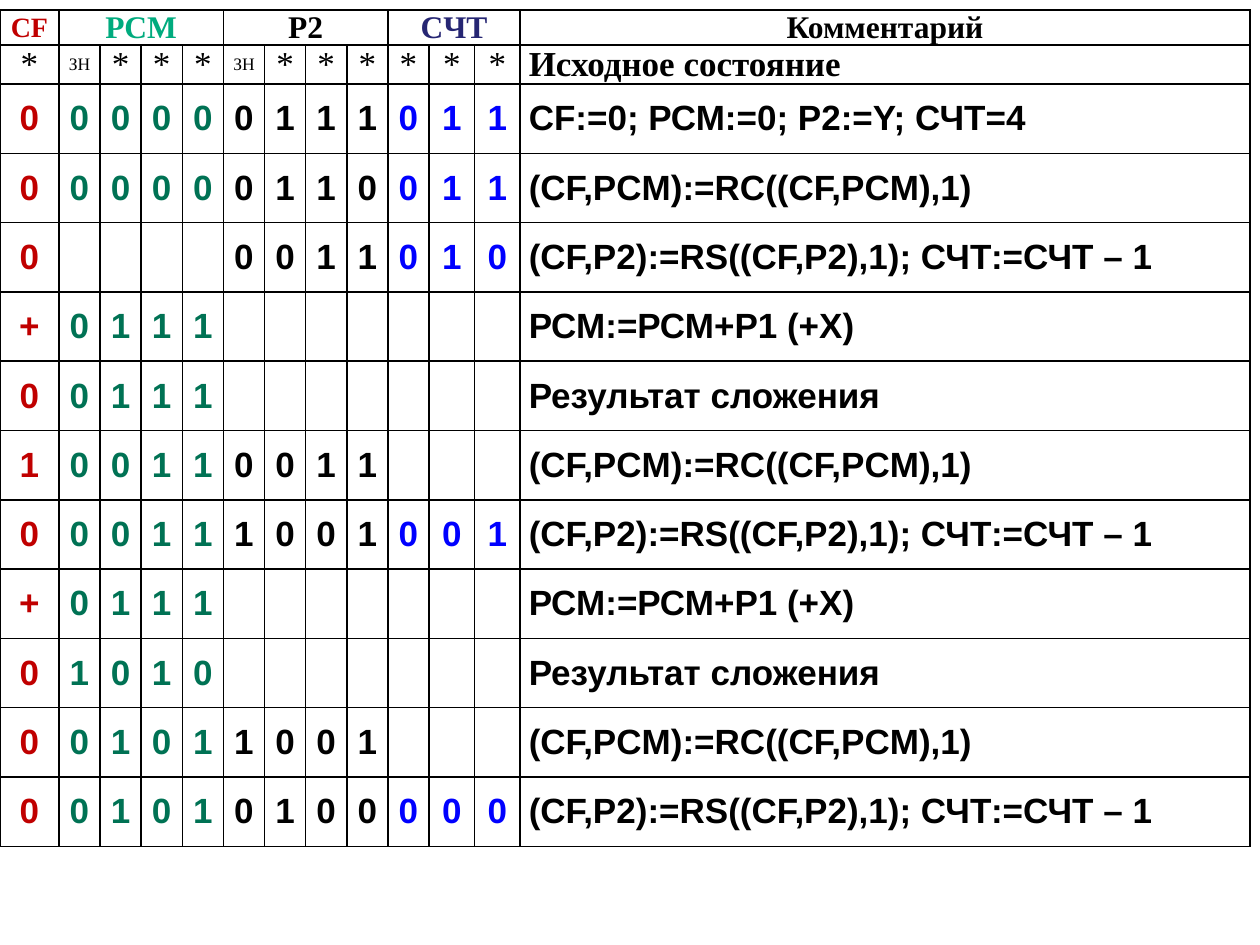
from lxml import etree
from pptx import Presentation
from pptx.dml.color import RGBColor
from pptx.enum.text import MSO_ANCHOR, PP_ALIGN
from pptx.oxml.ns import qn
from pptx.util import Pt

CENTER, LEFT = PP_ALIGN.CENTER, PP_ALIGN.LEFT
MIDDLE = MSO_ANCHOR.MIDDLE
SERIF, SANS = "Times New Roman", "Arial"
BLACK, RED, GREEN, BLUE = "000000", "C00000", "007254", "0000FF"

# Registers: header, header colour, header size, digit colour, digit count
REGISTERS = [
    ("CF", RED, 16, RED, 1),
    ("PCM", "00AB7E", 18, GREEN, 4),
    ("P2", BLACK, 18, BLACK, 4),
    ("CЧТ", "262673", 18, BLUE, 3),
]
COLUMN_WIDTHS = [33.7] + [23.5] * 9 + [26] * 2 + [417.2]
ROW_HEIGHTS = [19.7, 22.2] + [39.6] * 11
COMMENT_COLUMN = len(COLUMN_WIDTHS) - 1
SIGN_COLUMNS = (1, 5)

ROTATE = "(CF,PCM):=RС((CF,PCM),1)"
SHIFT = "(CF,P2):=RS((CF,P2),1); СЧТ:=СЧТ – 1"
ADD = "РСМ:=РСМ+Р1 (+X)"
SUM = "Результат сложения"

# Multiplication steps: contents of CF, PCM, P2 and the counter, then the comment
STEPS = [
    ("0", "0000", "0111", "011", "CF:=0; РСМ:=0; Р2:=Y; СЧТ=4"),
    ("0", "0000", "0110", "011", ROTATE),
    ("0", "", "0011", "010", SHIFT),
    ("+", "0111", "", "", ADD),
    ("0", "0111", "", "", SUM),
    ("1", "0011", "0011", "", ROTATE),
    ("0", "0011", "1001", "001", SHIFT),
    ("+", "0111", "", "", ADD),
    ("0", "1010", "", "", SUM),
    ("0", "0101", "1001", "", ROTATE),
    ("0", "0101", "0100", "000", SHIFT),
]


def colour(value):
    return RGBColor.from_string(value)


def write(cell, text, size=20, font=SANS, color=BLACK, bold=True, align=CENTER):
    para = cell.text_frame.paragraphs[0]
    para.alignment = align
    para.space_after = Pt(3)
    span = para.add_run()
    span.text = text
    span.font.size = Pt(size)
    span.font.name = font
    span.font.bold = bold
    span.font.color.rgb = colour(color)


def format_cell(cell):
    cell.vertical_anchor = MIDDLE
    cell.margin_left = cell.margin_right = Pt(5)
    cell.margin_top = cell.margin_bottom = Pt(0)
    properties = cell._tc.get_or_add_tcPr()
    for side in ("lnL", "lnR", "lnT", "lnB"):
        line = etree.SubElement(properties, qn(f"a:{side}"), w=str(Pt(1)))
        fill = etree.SubElement(line, qn("a:solidFill"))
        etree.SubElement(fill, qn("a:srgbClr"), val=BLACK)
    cell.fill.background()


def add_grid(page):
    frame = page.shapes.add_table(
        len(ROW_HEIGHTS), len(COLUMN_WIDTHS), Pt(0), Pt(5.8),
        Pt(sum(COLUMN_WIDTHS)), Pt(sum(ROW_HEIGHTS)))
    table = frame.table
    table.first_row = table.horz_banding = False
    for column, width in zip(table.columns, COLUMN_WIDTHS):
        column.width = Pt(width)
    for row, height in zip(table.rows, ROW_HEIGHTS):
        row.height = Pt(height)
    for cell in table.iter_cells():
        format_cell(cell)
    return table


def fill_header(table):
    # Register names over their digit columns
    start = 0
    for name, color, size, _, count in REGISTERS:
        cell = table.cell(0, start)
        if count > 1:
            cell.merge(table.cell(0, start + count - 1))
        write(cell, name, size=size, font=SERIF, color=color)
        start += count
    write(table.cell(0, COMMENT_COLUMN), "Комментарий", size=18, font=SERIF)

    # Initial state
    for column in range(COMMENT_COLUMN):
        text, size = ("ЗН", 10) if column in SIGN_COLUMNS else ("*", 20)
        write(table.cell(1, column), text, size=size, font=SERIF, bold=False)
    write(table.cell(1, COMMENT_COLUMN), "Исходное состояние",
          font=SERIF, align=LEFT)


def fill_step(table, row, step):
    *contents, comment = step
    start = 0
    for digits, (_, _, _, color, count) in zip(contents, REGISTERS):
        for offset, digit in enumerate(digits):
            write(table.cell(row, start + offset), digit, color=color)
        start += count
    write(table.cell(row, COMMENT_COLUMN), comment, align=LEFT)


def main():
    deck = Presentation()
    deck.slide_width, deck.slide_height = Pt(720), Pt(540)
    page = deck.slides.add_slide(deck.slide_layouts[6])
    table = add_grid(page)
    fill_header(table)
    for row, step in enumerate(STEPS, start=2):
        fill_step(table, row, step)
    deck.save("out.pptx")


if __name__ == "__main__":
    main()
